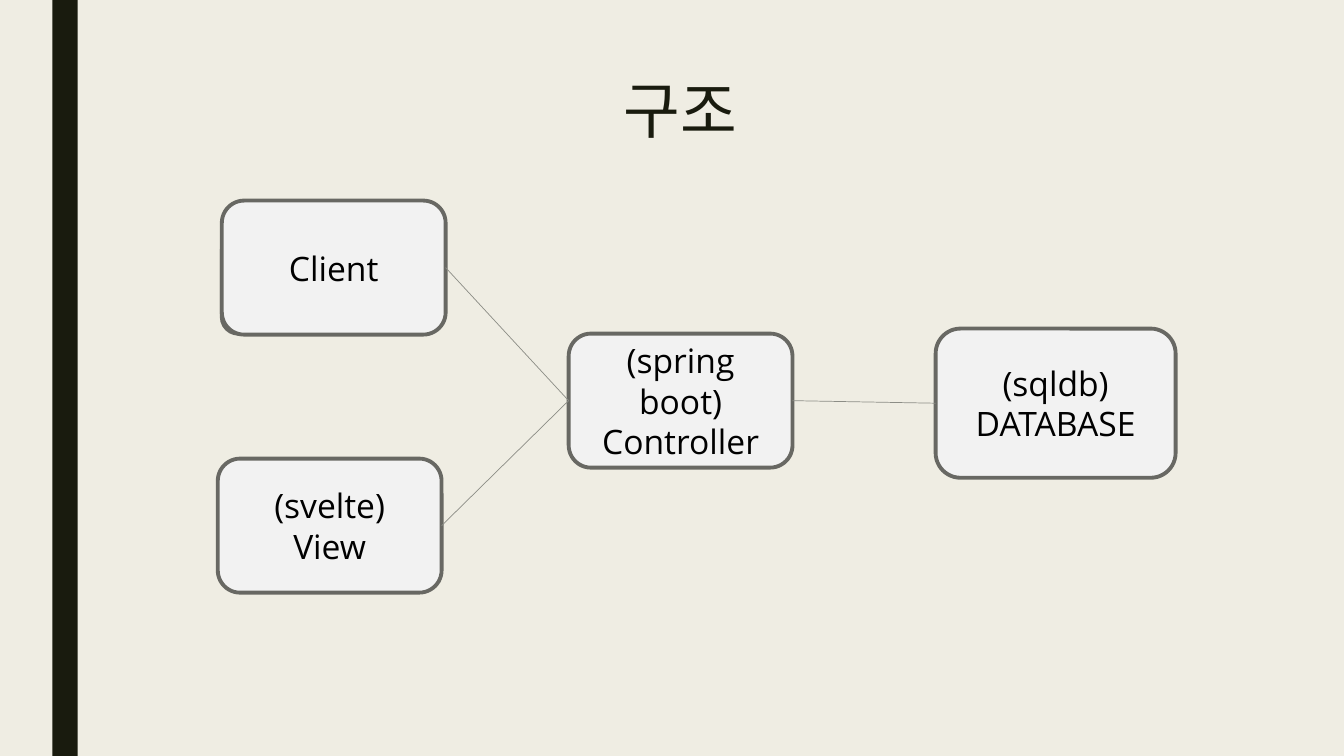
from lxml import etree
from pptx import Presentation
from pptx.dml.color import RGBColor
from pptx.enum.shapes import MSO_CONNECTOR, MSO_SHAPE
from pptx.enum.text import MSO_ANCHOR, PP_ALIGN
from pptx.oxml.ns import qn
from pptx.util import Inches, Pt

FONT = "Open Sans"
COLORS = {"background": "EFEDE3", "ink": "191B0E", "box": "F2F2F2",
          "border": "686863", "link": "8C8D86", "text": "000000"}
TITLE = "구조"
TITLE_AREA = (1.5, 0.75, 10.5, 1.62)
BAR_AREA = (0.52, 0, 0.25, 7.5)
CLIENT_BACKING = (2.2, 2.32, 1.8, 0.99)
NODES = {
    "controller": ("(spring boot)\nController", (5.64, 3.31, 2.22, 1.33)),
    "database": ("(sqldb)\nDATABASE", (9.28, 3.26, 2.38, 1.48)),
    "client": ("Client", (2.2, 1.99, 2.22, 1.33)),
    "view": ("(svelte)\nView", (2.16, 4.55, 2.22, 1.33)),
}
LEFT, RIGHT = 1, 3  # connection sites of a rounded rectangle
LINKS = [("client", RIGHT, "controller", LEFT),
         ("controller", LEFT, "view", RIGHT),
         ("controller", RIGHT, "database", LEFT)]


def color(name):
    """Return the named colour."""
    return RGBColor.from_string(COLORS[name])


def write(frame, text, size, ink):
    """Fill a text frame with centred, formatted paragraphs."""
    frame.text = text
    frame.word_wrap = True
    for para in frame.paragraphs:
        para.alignment = PP_ALIGN.CENTER
        for span in para.runs:
            span.font.name = FONT
            span.font.size = Pt(size)
            span.font.color.rgb = color(ink)
            east_asian = etree.SubElement(span.font._element, qn("a:ea"))
            east_asian.set("typeface", FONT)


def add_block(page, kind, area, fill, border=None):
    """Add a flat filled shape, outlined when a border colour is given."""
    block = page.shapes.add_shape(kind, *map(Inches, area))
    block.shadow.inherit = False
    block.fill.solid()
    block.fill.fore_color.rgb = color(fill)
    if border:
        block.line.color.rgb = color(border)
        block.line.width = Pt(2.75)
    else:
        block.line.fill.background()
    return block


def add_box(page, area):
    """Add an empty rounded diagram box."""
    return add_block(page, MSO_SHAPE.ROUNDED_RECTANGLE, area, "box", "border")


def add_node(page, text, area):
    """Add a labelled diagram box."""
    box = add_box(page, area)
    box.text_frame.vertical_anchor = MSO_ANCHOR.MIDDLE
    write(box.text_frame, text, 24, "text")
    return box


def add_link(page, start, start_site, end, end_site):
    """Join two boxes with a thin line."""
    link = page.shapes.add_connector(MSO_CONNECTOR.STRAIGHT, 0, 0, 0, 0)
    link.begin_connect(start, start_site)
    link.end_connect(end, end_site)
    link.line.color.rgb = color("link")
    link.line.width = Pt(0.5)
    etree.SubElement(link._element.spPr, qn("a:effectLst"))


deck = Presentation()
deck.slide_width, deck.slide_height = Inches(13.33), Inches(7.5)
page = deck.slides.add_slide(deck.slide_layouts[5])
page.background.fill.solid()
page.background.fill.fore_color.rgb = color("background")

title = page.shapes.title
title.left, title.top, title.width, title.height = map(Inches, TITLE_AREA)
title.text_frame.vertical_anchor = MSO_ANCHOR.TOP
write(title.text_frame, TITLE, 44, "ink")
title.text_frame.paragraphs[0].line_spacing = 0.89

add_block(page, MSO_SHAPE.RECTANGLE, BAR_AREA, "ink")
add_box(page, CLIENT_BACKING)
boxes = {name: add_node(page, *node) for name, node in NODES.items()}
for start, start_site, end, end_site in LINKS:
    add_link(page, boxes[start], start_site, boxes[end], end_site)

deck.save("out.pptx")
